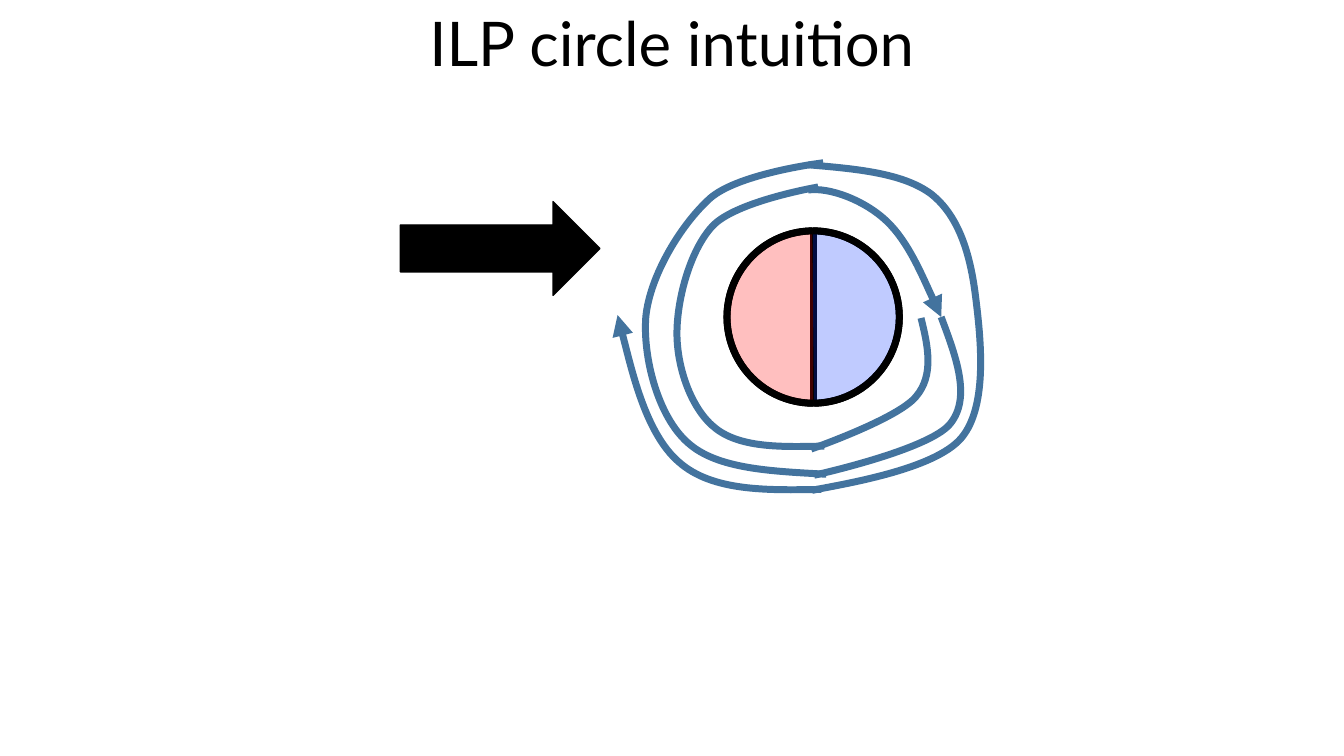
from dataclasses import dataclass
from lxml.etree import SubElement
from pptx import Presentation
from pptx.dml.color import RGBColor
from pptx.enum.shapes import MSO_CONNECTOR, MSO_SHAPE
from pptx.enum.text import MSO_ANCHOR, PP_ALIGN
from pptx.oxml.ns import qn
from pptx.util import Inches, Pt


@dataclass(frozen=True)
class Theme:
    font: str = "Lato"
    title_size: int = 44
    stroke: int = 5
    thin_stroke: int = 1
    ink: str = "000000"
    trail: str = "43739E"
    right_half: str = "0432FF"
    left_half: str = "FF0000"
    half_opacity: int = 25


THEME = Theme()
SLIDE_SIZE = (13.33, 7.5)
TITLE_BOX = (0.54, -0.26, 12.25, 1.45)
ARROW_BOX = (3.97, 2, 1.98, 0.93)
CIRCLE_BOX = (7.21, 2.29, 1.71, 1.71)

# Each trail: start point, Bézier segments (two controls and an end), arrowhead.
# Points are inches from the centre of the circle.
TRAILS = [
    ((1.07, 0.01), [((1.14, 0.29), (1.2, 0.58), (1.02, 0.79)),
                    ((0.84, 1.01), (-0.02, 1.31), (-0.02, 1.31))], False),
    ((0.11, 1.28), [((-0.3, 1.29), (-0.71, 1.3), (-0.96, 1.11)),
                    ((-1.2, 0.93), (-1.34, 0.53), (-1.35, 0.2)),
                    ((-1.36, -0.14), (-1.23, -0.65), (-1, -0.9)),
                    ((-0.77, -1.15), (0.05, -1.29), (0.05, -1.29))], False),
    ((-0.05, -1.26), [((0.16, -1.29), (0.51, -1.16), (0.73, -0.95)),
                      ((0.95, -0.74), (1.27, 0), (1.27, 0))], True),
    ((1.27, 0), [((1.42, 0.4), (1.57, 0.8), (1.36, 1.06)),
                 ((1.15, 1.32), (0.01, 1.57), (0.01, 1.57))], False),
    ((0.13, 1.56), [((-0.41, 1.53), (-0.95, 1.51), (-1.24, 1.25)),
                    ((-1.54, 0.99), (-1.69, 0.4), (-1.66, 0)),
                    ((-1.62, -0.41), (-1.31, -0.92), (-1.02, -1.18)),
                    ((-0.73, -1.43), (0.1, -1.53), (0.1, -1.53))], False),
    ((-0.05, -1.51), [((0.42, -1.47), (0.89, -1.43), (1.17, -1.22)),
                      ((1.45, -1), (1.56, -0.61), (1.61, -0.21)),
                      ((1.66, 0.19), (1.74, 0.88), (1.47, 1.2)),
                      ((1.2, 1.52), (0.28, 1.66), (-0.01, 1.72))], False),
    ((0.08, 1.71), [((-0.46, 1.72), (-1, 1.73), (-1.33, 1.44)),
                    ((-1.67, 1.15), (-1.94, -0.02), (-1.94, -0.02))], True),
]


def inches(values):
    return [Inches(value) for value in values]


def centre_of(box):
    left, top, width, height = box
    return left + width / 2, top + height / 2


def style_line(shape, color, width):
    shape.line.color.rgb = RGBColor.from_string(color)
    shape.line.width = Pt(width)


def add_preset(shapes, preset, box, fill=None, opacity=100, width=THEME.stroke):
    shape = shapes.add_shape(preset, *inches(box))
    shape.shadow.inherit = False
    style_line(shape, THEME.ink, width)
    if fill is None:
        shape.fill.background()
        return shape
    shape.fill.solid()
    shape.fill.fore_color.rgb = RGBColor.from_string(fill)
    if opacity < 100:
        color = shape.element.spPr.find(qn("a:solidFill")).find(qn("a:srgbClr"))
        SubElement(color, qn("a:alpha")).set("val", str(opacity * 1000))
    return shape


def add_text(slide, box, text, *, size, color, align, anchor, spacing):
    text_box = slide.shapes.add_textbox(*inches(box))
    frame = text_box.text_frame
    frame.word_wrap = True
    frame.vertical_anchor = anchor
    paragraph = frame.paragraphs[0]
    paragraph.text = text
    paragraph.alignment = align
    paragraph.line_spacing = spacing
    paragraph.font.name = THEME.font
    paragraph.font.size = Pt(size)
    paragraph.font.color.rgb = RGBColor.from_string(color)


def add_divided_circle(slide, box):
    group = slide.shapes.add_group_shape()
    add_preset(group.shapes, MSO_SHAPE.OVAL, box)
    middle = centre_of(box)[0]
    divider = group.shapes.add_connector(
        MSO_CONNECTOR.STRAIGHT,
        *inches((middle, box[1], middle, box[1] + box[3])))
    style_line(divider, THEME.ink, THEME.stroke)
    SubElement(divider.element.spPr, qn("a:effectLst"))


def bend_segments(shape):
    """Turn each three straight segments into one cubic Bézier segment."""
    segments = list(shape.element.iter(qn("a:lnTo")))
    for first, second, third in zip(*[iter(segments)] * 3):
        first.tag = qn("a:cubicBezTo")
        for extra in (second, third):
            first.append(extra[0])
            extra.getparent().remove(extra)


def add_trail(slide, centre, start, segments, has_arrow):
    def place(point):
        return inches(middle + offset for middle, offset in zip(centre, point))

    builder = slide.shapes.build_freeform(*place(start))
    builder.add_line_segments(
        [place(point) for segment in segments for point in segment], close=False)
    trail = builder.convert_to_shape()
    bend_segments(trail)
    trail.shadow.inherit = False
    trail.fill.background()
    style_line(trail, THEME.trail, THEME.stroke)
    if has_arrow:
        line = trail.element.spPr.find(qn("a:ln"))
        SubElement(line, qn("a:tailEnd")).set("type", "triangle")


def add_circle_halves(slide, box):
    for color, rotation in ((THEME.right_half, 0), (THEME.left_half, 180)):
        half = add_preset(slide.shapes, MSO_SHAPE.ARC, box, color,
                          THEME.half_opacity)
        half.adjustments[0] = 162
        half.adjustments[1] = 53.56
        half.rotation = rotation


def build_slide(presentation):
    slide = presentation.slides.add_slide(presentation.slide_layouts[6])
    add_text(slide, TITLE_BOX, "ILP circle intuition", size=THEME.title_size,
             color=THEME.ink, align=PP_ALIGN.CENTER, anchor=MSO_ANCHOR.MIDDLE,
             spacing=0.9)
    add_divided_circle(slide, CIRCLE_BOX)
    for trail in TRAILS:
        add_trail(slide, centre_of(CIRCLE_BOX), *trail)
    add_preset(slide.shapes, MSO_SHAPE.RIGHT_ARROW, ARROW_BOX, THEME.ink,
               width=THEME.thin_stroke)
    add_circle_halves(slide, CIRCLE_BOX)


def main():
    presentation = Presentation()
    presentation.slide_width, presentation.slide_height = inches(SLIDE_SIZE)
    build_slide(presentation)
    presentation.save("out.pptx")


if __name__ == "__main__":
    main()
